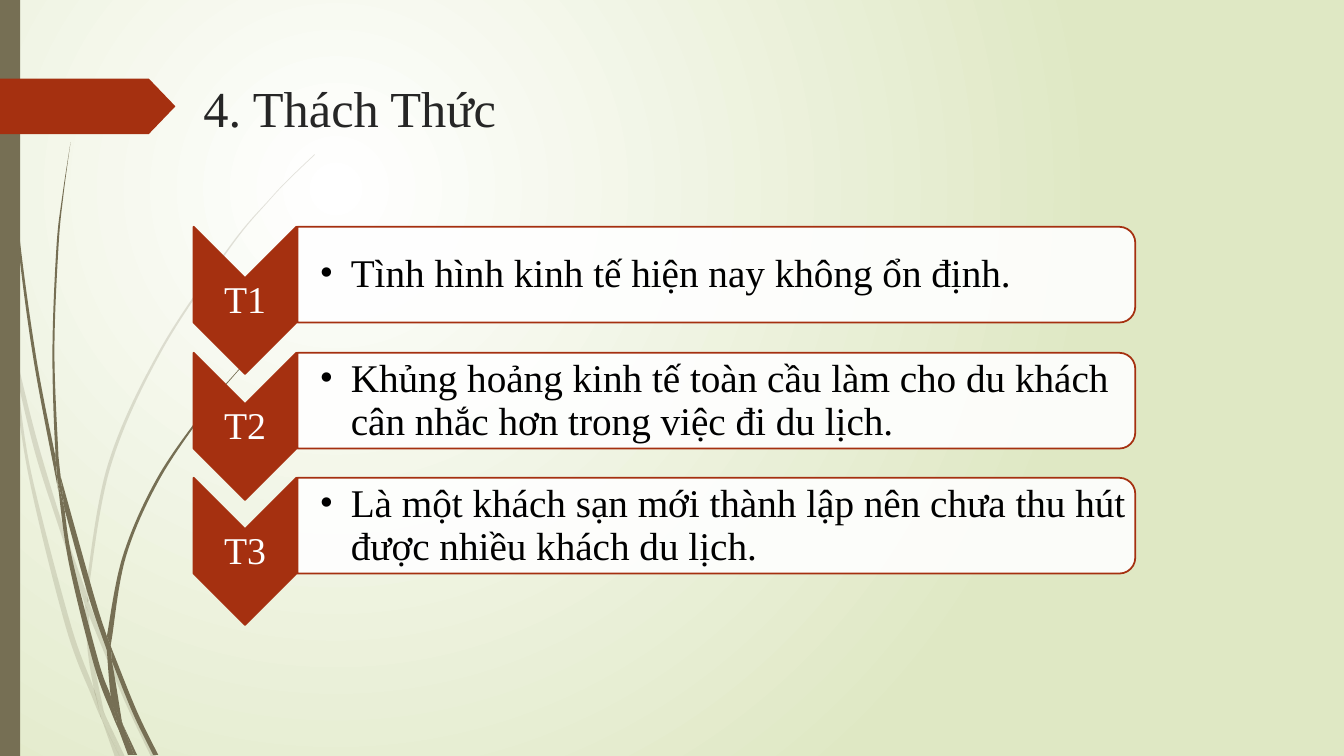
"""Builds the slide on threats: three labelled chevron rows on a grassy backdrop."""
from lxml import etree
from pptx import Presentation
from pptx import util as u
from pptx.dml.color import RGBColor
from pptx.enum import shapes, text
from pptx.oxml.ns import qn

PX = 9144
SLIDE = (1333, 750)
FONT = "Times New Roman"
COLORS = {"white": "FFFFFF", "sage": "DFE8C4", "olive": "766F54",
          "rust": "A53010", "title": "262626", "black": "000000"}

TITLE = "4. Thách Thức"
THREATS = [
    ("T1", "Tình hình kinh tế hiện nay không ổn định."),
    ("T2", "Khủng hoảng kinh tế toàn cầu làm cho du khách cân nhắc hơn trong việc đi du lịch."),
    ("T3", "Là một khách sạn mới thành lập nên chưa thu hút được nhiều khách du lịch."),
]

PALE_BLADES = [
    ([(11, 350), (9, 322), (0, 282)], [(0, 299), (10, 344), (11, 350)]),
    ([(17, 376), (35, 450), (58, 522), (84, 599)], [(85, 586), (62, 520), (36, 434), (14, 345)]),
    ([(150, 751), (123, 694), (88, 610)], [(88, 596), (92, 607), (127, 692), (155, 751)]),
    ([(105, 711), (119, 751)], [(124, 751)]),
    ([(11, 350), (28, 470), (65, 621), (92, 693), (101, 714)],
     [(99, 707), (93, 683), (70, 619), (31, 469), (17, 376), (11, 350)]),
    ([(84, 599), (87, 646), (93, 683), (96, 692), (105, 711)],
     [(103, 706), (91, 646), (88, 610), (84, 599)]),
    ([(312, 153), (289, 175), (268, 197), (228, 244), (158, 348), (107, 461), (85, 584)],
     [(88, 596), (88, 584), (110, 462), (160, 349), (229, 245), (268, 198), (290, 175), (312, 154)]),
    ([(101, 714), (114, 751)], [(119, 751)]),
    ([(88, 608), (88, 610)], [(88, 596), (85, 586)], [(84, 599)]),
    ([(93, 683), (99, 707), (101, 714), (119, 751)], [(105, 711), (96, 692)]),
]
DARK_BLADES = [
    ([(3, 0), (4, 48), (7, 110), (17, 233), (33, 355), (56, 477), (57, 481)],
     [(55, 453), (36, 355), (19, 232), (8, 109), (5, 48), (4, 0)]),
    ([(64, 505), (88, 592), (106, 645)], [(106, 631), (93, 590), (60, 472)]),
    ([(110, 641), (113, 649), (136, 706), (157, 749)], [(152, 749), (132, 708), (111, 656)]),
    ([(57, 477), (68, 557), (93, 659), (111, 708), (117, 722)],
     [(116, 717), (110, 691), (98, 657), (72, 556), (64, 505)]),
    ([(70, 141), (62, 193), (56, 245), (52, 349), (55, 449), (60, 472)],
     [(58, 453), (54, 349), (58, 245), (63, 193), (70, 141)]),
    ([(122, 719), (133, 749)], [(136, 749)]),
    ([(57, 477), (64, 505)], [(60, 472), (55, 449)], [(55, 453)]),
    ([(260, 344), (245, 358), (231, 373), (204, 405), (156, 474), (122, 551), (106, 631)],
     [(110, 641), (111, 633), (125, 552), (158, 476), (205, 406), (231, 374), (245, 359), (261, 344)]),
    ([(117, 722), (127, 749)], [(131, 749)]),
    ([(106, 645), (110, 691), (116, 706), (122, 719)], [(121, 716), (111, 656), (106, 645)]),
    ([(106, 645), (111, 656)], [(110, 641), (106, 631)]),
    ([(110, 691), (116, 717), (117, 722), (130, 749)], [(133, 749), (122, 719), (116, 706)]),
]

TITLE_BOX = (192, 72, 933, 80)
SIDE_BAR = (0, 0, 20, 750)
TITLE_ARROW = (0, 78, 174, 55)
CHEVRON = (170, 247, 146, 102)
LABEL = (192, 277, 102, 44)
PANEL = (663, -143, 95, 831)
MESSAGE = (295, 230, 826, 86)
TWO_ROWS = 249
HANG = 31

TITLE_STYLE = {"size": 36, "color": "title", "insets": (10, 5, 10, 5), "anchor": text.MSO_ANCHOR.TOP}
LABEL_STYLE = {"size": 27, "color": "white", "insets": (2, 2, 2, 2), "spacing": 0.9,
               "align": text.PP_ALIGN.CENTER}
MESSAGE_STYLE = {"size": 28, "color": "black", "insets": (22, 2, 2, 2), "spacing": 0.9, "bullet": "•"}


def rgb(name):
    return RGBColor.from_string(COLORS[name])


def emu(lengths):
    return [round(length * PX) for length in lengths]


def edge_handles(nodes):
    """Gives the two curve handles for each step along an edge."""
    ends = [nodes[0], *nodes, nodes[-1]]
    return [([q + (r - p) / 6 for p, q, r in zip(a, b, c)],
             [r - (s - q) / 6 for q, r, s in zip(b, c, d)])
            for a, b, c, d in zip(ends, ends[1:], ends[2:], ends[3:])]


def paint(shape, color, opacity=100, outline=None):
    shape.shadow.inherit = False
    shape.fill.solid()
    shape.fill.fore_color.rgb = rgb(color)
    if opacity < 100:
        tint = shape.fill._xPr.find(qn("a:solidFill"))[0]
        etree.SubElement(tint, qn("a:alpha")).set("val", str(opacity * 1000))
    if outline:
        shape.line.color.rgb = rgb(outline)
        shape.line.width = u.Pt(1.25)
    else:
        shape.line.fill.background()


def add_preset(page, kind, frame, color, rotation=0, **look):
    shape = page.shapes.add_shape(kind, *emu(frame))
    shape.rotation = rotation
    paint(shape, color, **look)
    return shape


def add_blade(page, edges, opacity):
    nodes = [emu(node) for edge in edges for node in edge]
    handles = [pair for edge in edges for pair in [None, *edge_handles(edge)]][1:]
    builder = page.shapes.build_freeform(*nodes[0], scale=1.0)
    builder.add_line_segments(nodes[1:], close=True)
    shape = builder.convert_to_shape()
    for segment, pair in zip(list(shape.element.iter(qn("a:lnTo"))), handles):
        if pair:
            segment.tag = qn("a:cubicBezTo")
            for place, handle in enumerate(pair):
                x, y = emu(handle)
                point = etree.Element(qn("a:pt"), x=str(x - shape.left), y=str(y - shape.top))
                segment.insert(place, point)
    paint(shape, "olive", opacity)


def add_text(page, frame, words, style):
    box = page.shapes.add_textbox(*emu(frame)).text_frame
    left, top, right, bottom = emu(style["insets"])
    settings = {"word_wrap": True,
                "vertical_anchor": style.get("anchor", text.MSO_ANCHOR.MIDDLE),
                "margin_left": left, "margin_top": top,
                "margin_right": right, "margin_bottom": bottom}
    for name, value in settings.items():
        setattr(box, name, value)
    para = box.paragraphs[0]
    para.alignment = style.get("align", text.PP_ALIGN.LEFT)
    para.line_spacing = style.get("spacing", 1.0)
    if "bullet" in style:
        props = para._p.get_or_add_pPr()
        props.set("marL", str(HANG * PX))
        props.set("indent", str(-HANG * PX))
        etree.SubElement(props, qn("a:buFont")).set("typeface", FONT)
        etree.SubElement(props, qn("a:buChar")).set("char", style["bullet"])
    span = para.add_run()
    span.text = words
    for name, value in {"name": FONT, "size": u.Pt(style["size"])}.items():
        setattr(span.font, name, value)
    span.font.color.rgb = rgb(style["color"])


def fill_background(page):
    fill = page.background.fill
    fill.gradient()
    for stop, color, position in zip(fill.gradient_stops, ("white", "sage"), (0, 1)):
        stop.color.rgb = rgb(color)
        stop.position = position
    gradient = next(page.element.iter(qn("a:gradFill")))
    gradient.remove(gradient.find(qn("a:lin")))
    circle = etree.SubElement(gradient, qn("a:path"))
    circle.set("path", "circle")
    focus = etree.SubElement(circle, qn("a:fillToRect"))
    for side, percent in {"l": 50, "t": 50, "r": 100, "b": 100}.items():
        focus.set(side, str(percent * 1000))


def add_threat(page, row, label, message):
    def lowered(frame):
        left, top, width, height = frame
        return left, top + (row * TWO_ROWS + 1) // 2, width, height

    kinds = shapes.MSO_SHAPE
    add_preset(page, kinds.CHEVRON, lowered(CHEVRON), "rust", 90, outline="rust")
    add_text(page, lowered(LABEL), label, LABEL_STYLE)
    add_preset(page, kinds.ROUND_2_SAME_RECTANGLE, lowered(PANEL), "white", 90,
               opacity=90, outline="rust")
    add_text(page, lowered(MESSAGE), message, MESSAGE_STYLE)


def main():
    deck = Presentation()
    deck.slide_width, deck.slide_height = emu(SLIDE)
    page = deck.slides.add_slide(deck.slide_layouts[6])
    fill_background(page)
    for blades, opacity in ((PALE_BLADES, 20), (DARK_BLADES, 100)):
        for edges in blades:
            add_blade(page, edges, opacity)
    add_preset(page, shapes.MSO_SHAPE.RECTANGLE, SIDE_BAR, "olive")
    arrow = add_preset(page, shapes.MSO_SHAPE.PENTAGON, TITLE_ARROW, "rust")
    arrow.adjustments[0] = 0.48
    add_text(page, TITLE_BOX, TITLE, TITLE_STYLE)
    for row, (label, message) in enumerate(THREATS):
        add_threat(page, row, label, message)
    deck.save("out.pptx")


if __name__ == "__main__":
    main()
